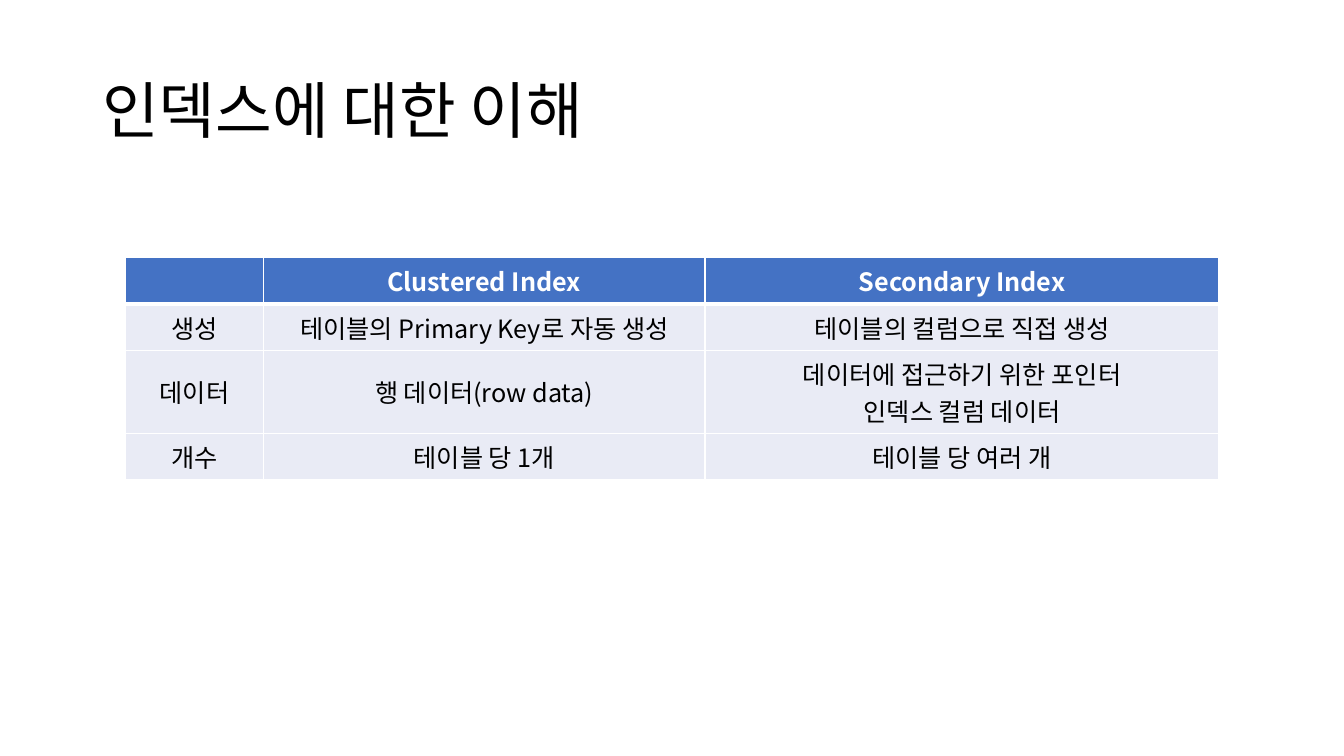
from dataclasses import dataclass

from lxml import etree
from pptx import Presentation
from pptx import util as u
from pptx.dml import color
from pptx.enum import text as t
from pptx.oxml import ns

FONT = "Noto Sans CJK KR"
BLACK, WHITE, BLUE, PALE = "000000", "FFFFFF", "4472C4", "E9EBF5"


@dataclass
class RowStyle:
    fill: str
    ink: str
    bold: bool
    bottom_line: float


HEADER = RowStyle(BLUE, WHITE, True, 3)
BODY = RowStyle(PALE, BLACK, False, 1)

COLUMN_WIDTHS = (98.6, 315.4, 367.2)
LINE_HEIGHT, CELL_PADDING = 26, 7.2
ROWS = (
    ("", "Clustered Index", "Secondary Index"),
    ("생성", "테이블의 Primary Key로 자동 생성", "테이블의 컬럼으로 직접 생성"),
    ("데이터", "행 데이터(row data)", "데이터에 접근하기 위한 포인터\n인덱스 컬럼 데이터"),
    ("개수", "테이블 당 1개", "테이블 당 여러 개"),
)


def rgb(value: str) -> color.RGBColor:
    return color.RGBColor.from_string(value)


def row_height(texts: tuple[str, ...]) -> float:
    """Room for the cell with the most lines, plus its margins."""
    lines = max(text.count("\n") + 1 for text in texts)
    return lines * LINE_HEIGHT + CELL_PADDING


def write(frame, text: str, *, size: float, ink: str = BLACK, bold: bool = False,
          align=t.PP_ALIGN.LEFT, line_spacing: float | None = None) -> None:
    """Fill a text frame, one paragraph per line of text."""
    for index, line in enumerate(text.split("\n")):
        para = frame.add_paragraph() if index else frame.paragraphs[0]
        para.alignment = align
        para.line_spacing = line_spacing
        if not line:
            continue
        span = para.add_run()
        span.text = line
        span.font.size = u.Pt(size)
        span.font.name = FONT
        span.font.bold = bold
        span.font.color.rgb = rgb(ink)
        east_asian = etree.SubElement(span.font._element, ns.qn("a:ea"))
        east_asian.set("typeface", FONT)


def add_border(cell, side: str, width: float) -> None:
    properties = cell._tc.get_or_add_tcPr()
    line = etree.SubElement(properties, ns.qn(f"a:ln{side}"), w=str(u.Pt(width)))
    fill = etree.SubElement(line, ns.qn("a:solidFill"))
    etree.SubElement(fill, ns.qn("a:srgbClr"), val=WHITE)


def draw_cell(cell, text: str, style: RowStyle, top_line: float) -> None:
    cell.vertical_anchor = t.MSO_ANCHOR.MIDDLE
    for side, width in (("L", 1), ("R", 1), ("T", top_line), ("B", style.bottom_line)):
        add_border(cell, side, width)
    cell.fill.solid()
    cell.fill.fore_color.rgb = rgb(style.fill)
    write(cell.text_frame, text, size=18, ink=style.ink, bold=style.bold,
          align=t.PP_ALIGN.CENTER)


def draw_title(page) -> None:
    box = page.shapes.add_textbox(u.Pt(66), u.Pt(28.8), u.Pt(828), u.Pt(104.4))
    frame = box.text_frame
    frame.word_wrap = True
    frame.vertical_anchor = t.MSO_ANCHOR.MIDDLE
    write(frame, "인덱스에 대한 이해", size=44, line_spacing=0.9)


def draw_table(page) -> None:
    table = page.shapes.add_table(
        len(ROWS), len(COLUMN_WIDTHS), u.Pt(89.6), u.Pt(183.9),
        u.Pt(sum(COLUMN_WIDTHS)), u.Pt(sum(map(row_height, ROWS)))).table
    table.first_row = table.horz_banding = False
    for column, width in zip(table.columns, COLUMN_WIDTHS):
        column.width = u.Pt(width)
    top_line = 1
    for row, texts in zip(table.rows, ROWS):
        style = HEADER if texts is ROWS[0] else BODY
        row.height = u.Pt(row_height(texts))
        for cell, text in zip(row.cells, texts):
            draw_cell(cell, text, style, top_line)
        top_line = style.bottom_line


def main() -> None:
    deck = Presentation()
    deck.slide_width, deck.slide_height = u.Pt(960), u.Pt(540)
    page = deck.slides.add_slide(deck.slide_layouts[6])
    draw_title(page)
    draw_table(page)
    deck.save("out.pptx")


if __name__ == "__main__":
    main()
